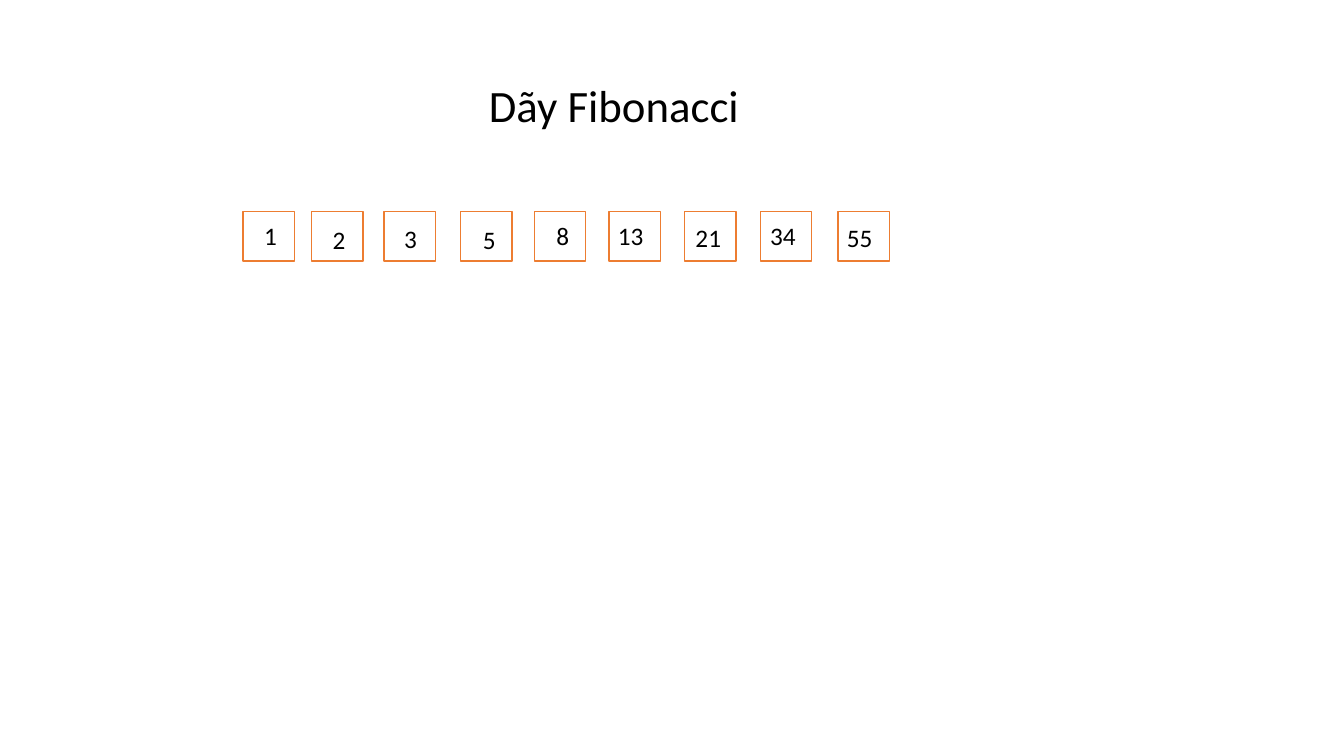
"""Build a slide that shows the Fibonacci sequence as a row of boxed numbers."""
from pptx import Presentation
from pptx.dml.color import RGBColor
from pptx.enum.shapes import MSO_SHAPE
from pptx.enum.text import MSO_AUTO_SIZE, PP_ALIGN
from pptx.util import Emu, Pt

TITLE = "Dãy Fibonacci"
TERMS = [
    # term, box left, label left, label top, label width
] + [
    ("1", 241, 252, 214, 29),
    ("2", 309, 320, 218, 29),
    ("3", 381, 391, 217, 29),
    ("5", 457, 469, 218, 29),
    ("8", 530, 542, 214, 29),
    ("13", 604, 603, 214, 51),
    ("21", 679, 680, 216, 63),
    ("34", 754, 754, 214, 51),
    ("55", 831, 830, 216, 51),
]
BOX_TOP, BOX_WIDTH, BOX_HEIGHT = 210, 51, 49
LABEL_HEIGHT = 40
FONT, INK, PAPER, ORANGE = "Calibri", "000000", "FFFFFF", "ED7D31"


def px(length):
    return Emu(length * 9144)


def color(code):
    return RGBColor.from_string(code)


def add_text(slide, words, size, *place):
    label = slide.shapes.add_textbox(*map(px, place))
    label.text_frame.word_wrap = True
    paragraph = label.text_frame.paragraphs[0]
    run = paragraph.add_run()
    run.text = words
    run.font.name = FONT
    run.font.size = Pt(size)
    run.font.color.rgb = color(INK)
    return label.text_frame


def add_box(slide, left):
    box = slide.shapes.add_shape(
        MSO_SHAPE.RECTANGLE, px(left), px(BOX_TOP), px(BOX_WIDTH), px(BOX_HEIGHT))
    box.shadow.inherit = False
    box.fill.solid()
    box.fill.fore_color.rgb = color(PAPER)
    box.line.color.rgb = color(ORANGE)
    box.line.width = Pt(1)


def main():
    deck = Presentation()
    deck.slide_width, deck.slide_height = px(1333), px(750)
    slide = deck.slides.add_slide(deck.slide_layouts[6])

    heading = add_text(slide, TITLE, 32, 109, 78, 1000, 181).paragraphs[0]
    heading.alignment = PP_ALIGN.CENTER
    heading.line_spacing = 0.9
    heading.space_before = Pt(10)

    for term, box_left, left, top, width in TERMS:
        add_box(slide, box_left)
        term_frame = add_text(slide, term, 18, left, top, width, LABEL_HEIGHT)
        term_frame.auto_size = MSO_AUTO_SIZE.SHAPE_TO_FIT_TEXT

    deck.save("out.pptx")


if __name__ == "__main__":
    main()
